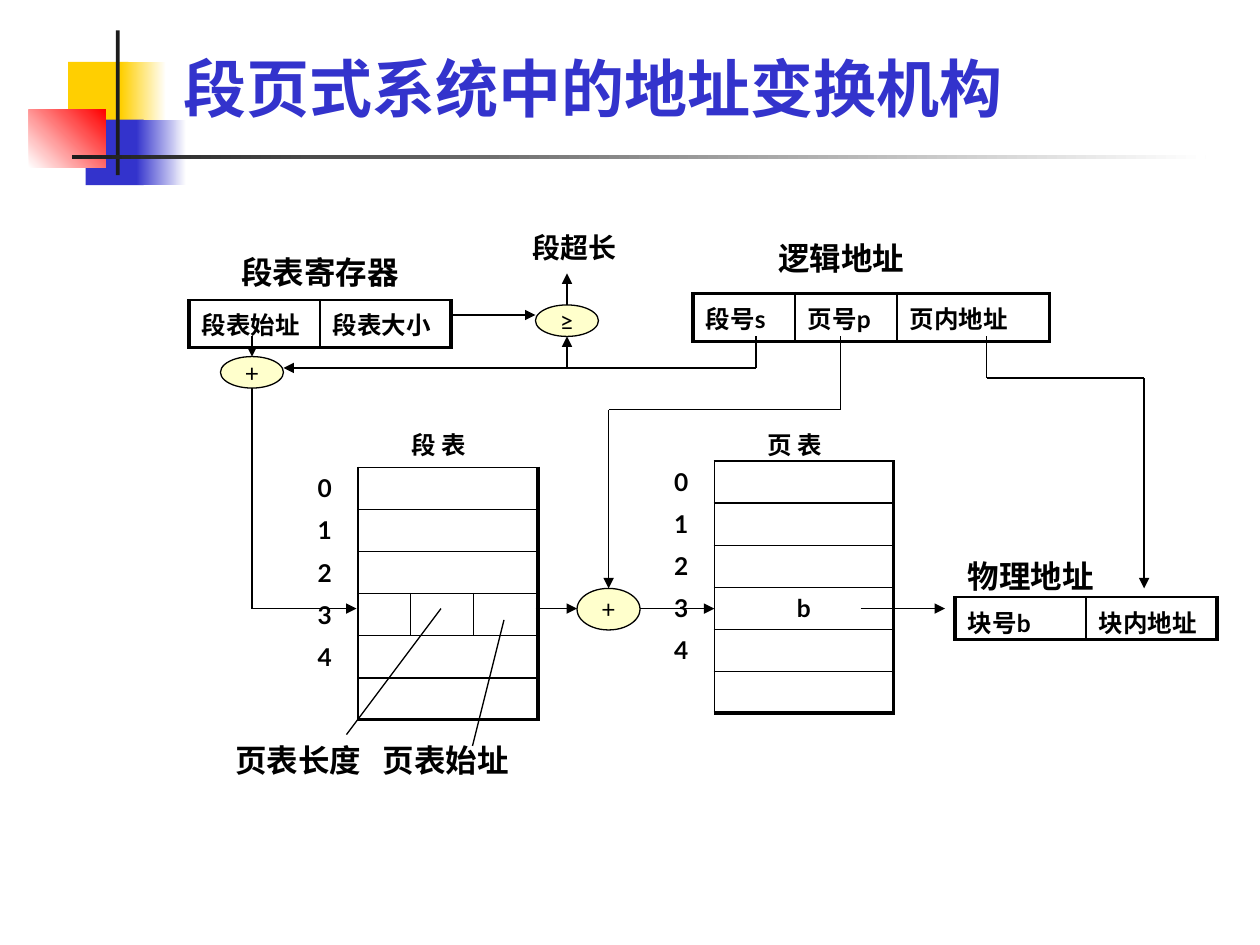
from lxml import etree
from pptx import Presentation
from pptx.dml.color import RGBColor
from pptx.enum.shapes import MSO_CONNECTOR as Line, MSO_SHAPE as Shape
from pptx.enum.text import MSO_ANCHOR as Anchor, PP_ALIGN as Align
from pptx.oxml import parse_xml
from pptx.oxml.ns import nsdecls, qn
from pptx.util import Inches, Pt

BLACK, WHITE = RGBColor(0, 0, 0), RGBColor(255, 255, 255)
BLUE, YELLOW = RGBColor(0x33, 0x33, 0xCC), RGBColor(0xFF, 0xCF, 0x01)
RED, DARK = RGBColor(0xFF, 0, 0), RGBColor(0x1C, 0x1C, 0x1C)
CREAM = RGBColor(0xFF, 0xFF, 0xCC)
LATIN, CJK = "Lato", "Noto Sans CJK SC"
NO_STYLE = "{2D5ABB26-0587-4C30-8999-92F81FD0307C}"
THIN, THICK = 1, 2.25
ROW, TALL, HEAD = 0.33, 0.38, 0.46

# Decoration: left, top, width, height, colours (two for a gradient), angle
DECORATION = [
    (0.54, 0.49, 0.48, 0.52, [YELLOW], 0),
    (0.96, 0.49, 0.36, 0.52, [YELLOW, WHITE], 0),
    (0.68, 0.95, 0.46, 0.52, [BLUE], 0),
    (1.08, 0.95, 0.4, 0.52, [BLUE, WHITE], 0),
    (0.23, 0.87, 0.61, 0.46, [WHITE, RED], 45),
    (0.92, 0.24, 0.03, 1.15, [DARK], 0),
    (0.57, 1.23, 9, 0.03, [DARK, WHITE], 0),
]

# Labels: text, left, top, width, height, size, font, colour
LABELS = [
    ("段页式系统中的地址变换机构", 1.36, 0.28, 7.42, 0.76, 36, LATIN, BLUE),
    ("段超长", 4.13, 1.78, 1, 0.37, 16, LATIN, BLACK),
    ("逻辑地址", 6.08, 1.85, 1.21, 0.4, 18, LATIN, BLACK),
    ("页表长度", 1.77, 5.83, 1.2, 0.4, 18, CJK, BLACK),
    ("页表始址", 2.94, 5.83, 1.2, 0.4, 18, CJK, BLACK),
]

# Tables: each cell is (text, columns spanned). "title" is the unframed first
# row, "index" the number of unframed columns at the left.
TABLES = [
    dict(at=(1.5, 1.92), cols=[1.04, 1.04], heights=[HEAD, TALL], title=18,
         left=THICK, top=THIN, index=0, align=Align.CENTER,
         rows=[[("段表寄存器", 2)], [("段表始址", 1), ("段表大小", 1)]]),
    dict(at=(2.42, 3.33), cols=[0.42, 0.42, 0.5, 0.5],
         heights=[TALL] + [ROW] * 6, title=14,
         left=THIN, top=THIN, index=1, align=Align.CENTER,
         rows=[[("段 表", 4)]]
         + [[(n, 1), ("", 3)] for n in "012"]
         + [[("3", 1), ("", 1), ("", 1), ("", 1)]]
         + [[(n, 1), ("", 3)] for n in ("4", "")]),
    dict(at=(5.5, 2.33), cols=[0.81, 0.81, 1.21], heights=[TALL], title=None,
         left=THICK, top=THICK, index=0, align=Align.LEFT,
         rows=[[("段号s", 1), ("页号p", 1), ("页内地址", 1)]]),
    dict(at=(7.58, 4.33), cols=[1.04, 1.04], heights=[0.41, ROW], title=18,
         left=THICK, top=THIN, index=0, align=Align.LEFT,
         rows=[[("物理地址", 2)], [("块号b", 1), ("块内地址", 1)]]),
    dict(at=(5.25, 3.33), cols=[0.42, 1.42], heights=[ROW] * 7, title=14,
         left=THIN, top=THIN, index=1, align=Align.CENTER,
         rows=[[("页 表", 2)]]
         + [[(n, 1), ("b" if n == "3" else "", 1)]
            for n in ("0", "1", "2", "3", "4", "")]),
]

# Operators: sign, left, top, width, height
OPERATORS = [
    ("≥", 4.25, 2.42, 0.5, 0.25),
    ("+", 1.75, 2.83, 0.5, 0.25),
    ("+", 4.58, 4.67, 0.5, 0.33),
]

# Routes through the diagram: points, arrow at the last point
ROUTES = [
    ([(3.5, 4.83), (2.75, 5.83)], False),
    ([(4, 4.92), (3.75, 5.92)], False),
    ([(2, 2.67), (2, 2.83)], True),
    ([(2, 3.08), (2, 4.83), (2.83, 4.83)], True),
    ([(6, 2.67), (6, 2.92), (2.25, 2.92)], True),
    ([(4.5, 2.92), (4.5, 2.67)], True),
    ([(3.58, 2.5), (4.25, 2.5)], True),
    ([(4.5, 2.42), (4.5, 2.17)], True),
    ([(6.67, 2.67), (6.67, 3.25), (4.83, 3.25), (4.83, 4.67)], True),
    ([(4.25, 4.83), (4.58, 4.83)], True),
    ([(5.08, 4.83), (5.67, 4.83)], True),
    ([(6.83, 4.83), (7.5, 4.83)], True),
    ([(7.83, 2.67), (7.83, 3), (9.08, 3), (9.08, 4.67)], True),
]


def write(frame, text, size, font=LATIN, colour=BLACK, bold=True, align=Align.LEFT):
    paragraph = frame.paragraphs[0]
    paragraph.text, paragraph.alignment = text, align
    style = paragraph.font
    style.size, style.name, style.bold = Pt(size), font, bold
    style.color.rgb = colour


def set_borders(cell, **widths):
    properties = cell._tc.get_or_add_tcPr()
    for position, side in enumerate("LRTB"):
        properties.insert(position, parse_xml(
            f'<a:ln{side} {nsdecls("a")} w="{Pt(widths[side])}"><a:solidFill>'
            f'<a:srgbClr val="{BLACK}"/></a:solidFill></a:ln{side}>'))


def add_grid(slide, at, cols, heights, title, left, top, index, align, rows):
    size = [Inches(v) for v in (*at, sum(cols), sum(heights))]
    grid = slide.shapes.add_table(len(rows), len(cols), *size).table
    grid.first_row = grid.horz_banding = False
    grid._tbl.tblPr.find(qn("a:tableStyleId")).text = NO_STYLE
    for column, width in zip(grid.columns, cols):
        column.width = Inches(width)
    for row, height in zip(grid.rows, heights):
        row.height = Inches(height)
    first_framed = 1 if title else 0
    for r, row in enumerate(rows):
        c = 0
        for text, span in row:
            cell, end = grid.cell(r, c), c + span
            if span > 1:
                cell.merge(grid.cell(r, end - 1))
            cell.fill.background()
            is_title = r < first_framed
            centred = is_title or (index and c >= index)
            write(cell.text_frame, text, title if is_title else 14,
                  align=(align if centred else Align.LEFT))
            if is_title:
                cell.margin_bottom = 0
                if index:  # centre the title nearer the framed columns
                    cell.margin_left = Inches(0.37)
            if not text:
                cell.margin_top = cell.margin_bottom = 0
            if not is_title and c >= index:
                set_borders(cell, L=left if c == index else THIN,
                            R=THICK if end == len(cols) else THIN,
                            T=top if r == first_framed else THIN,
                            B=THICK if r == len(rows) - 1 else THIN)
            c = end


def add_line(slide, start, end, arrow):
    line = slide.shapes.add_connector(
        Line.STRAIGHT, *[Inches(v) for v in (*start, *end)])
    line.line.color.rgb, line.line.width = BLACK, Pt(0.75)
    if arrow:
        etree.SubElement(line.line._get_or_add_ln(), qn("a:tailEnd"), type="triangle")
    etree.SubElement(line._element.spPr, qn("a:effectLst"))


def add_block(slide, kind, box):
    block = slide.shapes.add_shape(kind, *[Inches(v) for v in box])
    block.shadow.inherit = False
    return block


deck = Presentation()
deck.slide_width, deck.slide_height = Inches(10), Inches(7.5)
slide = deck.slides.add_slide(deck.slide_layouts[6])

# Corner decoration
for *box, colours, angle in DECORATION:
    block = add_block(slide, Shape.RECTANGLE, box)
    block.line.fill.background()
    if len(colours) == 1:
        block.fill.solid()
        block.fill.fore_color.rgb = colours[0]
    else:
        block.fill.gradient()
        block.fill.gradient_angle = angle
        for stop, colour in zip(block.fill.gradient_stops, colours):
            stop.color.rgb = colour

# Title and labels
for text, *box, size, font, colour in LABELS:
    frame = slide.shapes.add_textbox(*[Inches(v) for v in box]).text_frame
    frame.word_wrap = True
    if colour == BLUE:
        frame.vertical_anchor = Anchor.BOTTOM
    write(frame, text, size, font, colour)

# Registers, segment table, page table and addresses
for table in TABLES:
    add_grid(slide, **table)

# Operators
for sign, *box in OPERATORS:
    operator = add_block(slide, Shape.OVAL, box)
    operator.fill.solid()
    operator.fill.fore_color.rgb = CREAM
    operator.line.color.rgb, operator.line.width = BLACK, Pt(0.75)
    operator.text_frame.word_wrap = False
    operator.text_frame.vertical_anchor = Anchor.MIDDLE
    write(operator.text_frame, sign, 14, bold=False, align=Align.CENTER)

# Routes and pointers
for points, arrow in ROUTES:
    for start, end in zip(points, points[1:]):
        add_line(slide, start, end, arrow and end == points[-1])

deck.save("out.pptx")
